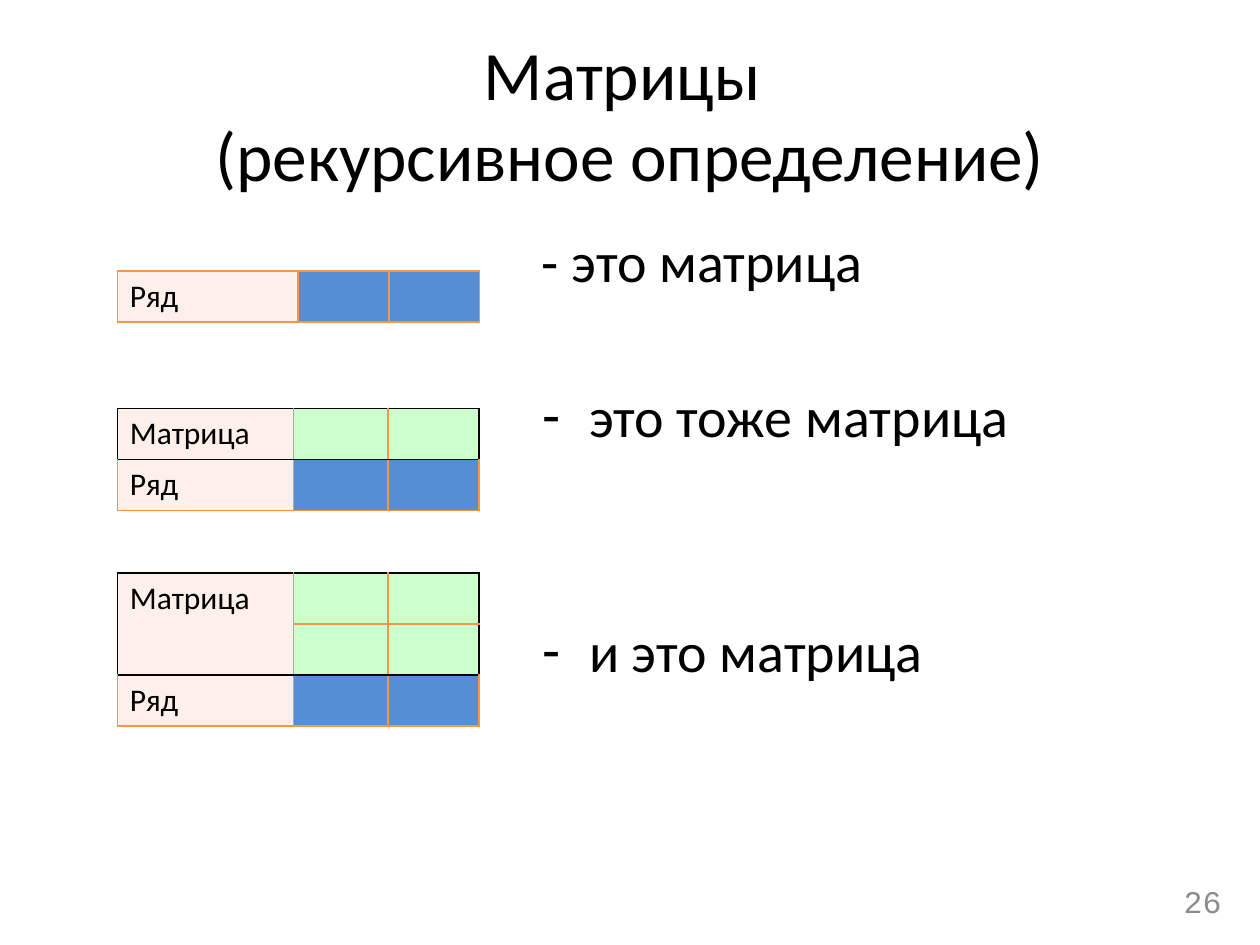
from lxml.etree import SubElement
from pptx import Presentation
from pptx.dml.color import RGBColor
from pptx.enum.text import MSO_ANCHOR, MSO_AUTO_SIZE, PP_ALIGN
from pptx.oxml.ns import qn
from pptx.util import Pt

BLACK = RGBColor(0x00, 0x00, 0x00)
GRAY = RGBColor(0x8C, 0x8C, 0x8C)
ORANGE = RGBColor(0xF7, 0x96, 0x46)
PEACH = RGBColor(0xFD, 0xEF, 0xE9)
GREEN = RGBColor(0xCC, 0xFF, 0xCC)
BLUE = RGBColor(0x55, 0x8E, 0xD5)
FONT = "Calibri"
ROW_HEIGHT = 29.2


def place(sp, left, top, width, height):
    sp.left, sp.top, sp.width, sp.height = Pt(left), Pt(top), Pt(width), Pt(height)


def add_run(p, text, size, color=BLACK, name=FONT):
    r = p.add_run()
    r.text = text
    r.font.size = Pt(size)
    r.font.name = name
    r.font.color.rgb = color


def add_title(s, lines, left, top, width, height):
    sp = s.shapes.title
    place(sp, left, top, width, height)
    tf = sp.text_frame
    tf.auto_size = MSO_AUTO_SIZE.NONE
    tf.vertical_anchor = MSO_ANCHOR.MIDDLE
    p = tf.paragraphs[0]
    p.alignment = PP_ALIGN.CENTER
    p.line_spacing = 0.98
    for i, line in enumerate(lines):
        if i:
            p.add_line_break()
        add_run(p, line, 39.6)


def add_body(s, items, left, top, width, height):
    sp = s.placeholders[1]
    place(sp, left, top, width, height)
    tf = sp.text_frame
    tf.auto_size = MSO_AUTO_SIZE.NONE
    for i, (text, bullet, space) in enumerate(items):
        p = tf.add_paragraph() if i else tf.paragraphs[0]
        pPr = p._p.get_or_add_pPr()
        indent = Pt(27) if bullet else 0
        pPr.set("marL", str(indent))
        pPr.set("indent", str(-indent))
        if bullet:
            SubElement(pPr, qn("a:buChar"), char=bullet)
        else:
            SubElement(pPr, qn("a:buNone"))
        p.space_before = Pt(space)
        add_run(p, text, 32)


def add_number(s, text, left, top, width, height):
    sp = s.shapes.add_textbox(Pt(left), Pt(top), Pt(width), Pt(height))
    tf = sp.text_frame
    tf.word_wrap = True
    tf.vertical_anchor = MSO_ANCHOR.MIDDLE
    p = tf.paragraphs[0]
    p.alignment = PP_ALIGN.RIGHT
    add_run(p, text, 18, GRAY, "Courier New")


def format_cell(cell, fill, borders):
    tcPr = cell._tc.get_or_add_tcPr()
    for side in "LRTB":
        ln = SubElement(tcPr, qn(f"a:ln{side}"), w=str(Pt(1)))
        solid = SubElement(ln, qn("a:solidFill"))
        SubElement(solid, qn("a:srgbClr"), val=str(borders[side]))
    cell.fill.solid()
    cell.fill.fore_color.rgb = fill


def add_matrix(s, matrix_rows, widths, left, top):
    count = matrix_rows + 1
    frame = s.shapes.add_table(count, len(widths), Pt(left), Pt(top),
                               Pt(sum(widths)), Pt(count * ROW_HEIGHT))
    table = frame.table
    table.first_row = table.horz_banding = False
    for column, width in zip(table.columns, widths):
        column.width = Pt(width)
    for i, row in enumerate(table.rows):
        row.height = Pt(ROW_HEIGHT)
        in_matrix = i < matrix_rows
        for j, cell in enumerate(row.cells):
            black = {
                "L": in_matrix and j == 0,
                "R": in_matrix and j == len(widths) - 1,
                "T": matrix_rows > 0 and i in (0, matrix_rows),
                "B": in_matrix and (j == 0 or i == matrix_rows - 1),
            }
            borders = {k: BLACK if v else ORANGE for k, v in black.items()}
            fill = PEACH if j == 0 else GREEN if in_matrix else BLUE
            format_cell(cell, fill, borders)
    if matrix_rows > 1:
        table.cell(0, 0).merge(table.cell(matrix_rows - 1, 0))
    if matrix_rows:
        add_run(table.cell(0, 0).text_frame.paragraphs[0], "Матрица", 18)
    add_run(table.cell(matrix_rows, 0).text_frame.paragraphs[0], "Ряд", 18)


def main():
    prs = Presentation()
    prs.slide_width, prs.slide_height = Pt(720), Pt(540)
    s = prs.slides.add_slide(prs.slide_layouts[1])
    add_title(s, ["Матрицы ", "(рекурсивное определение)"], 36, 21.6, 648, 90)
    add_body(s, [("- это матрица", None, 0),
                 ("это тоже матрица", "-", 50),
                 ("и это матрица", "-", 96)], 302.4, 126, 381.6, 356.4)
    add_number(s, "26", 537, 500.4, 168, 28.8)
    add_matrix(s, 0, [103.4, 51.8, 51.8], 67, 154.8)
    add_matrix(s, 1, [100.8, 54, 52], 67, 233.3)
    add_matrix(s, 2, [100.8, 54, 52], 67, 327.4)
    prs.save("out.pptx")


if __name__ == "__main__":
    main()
